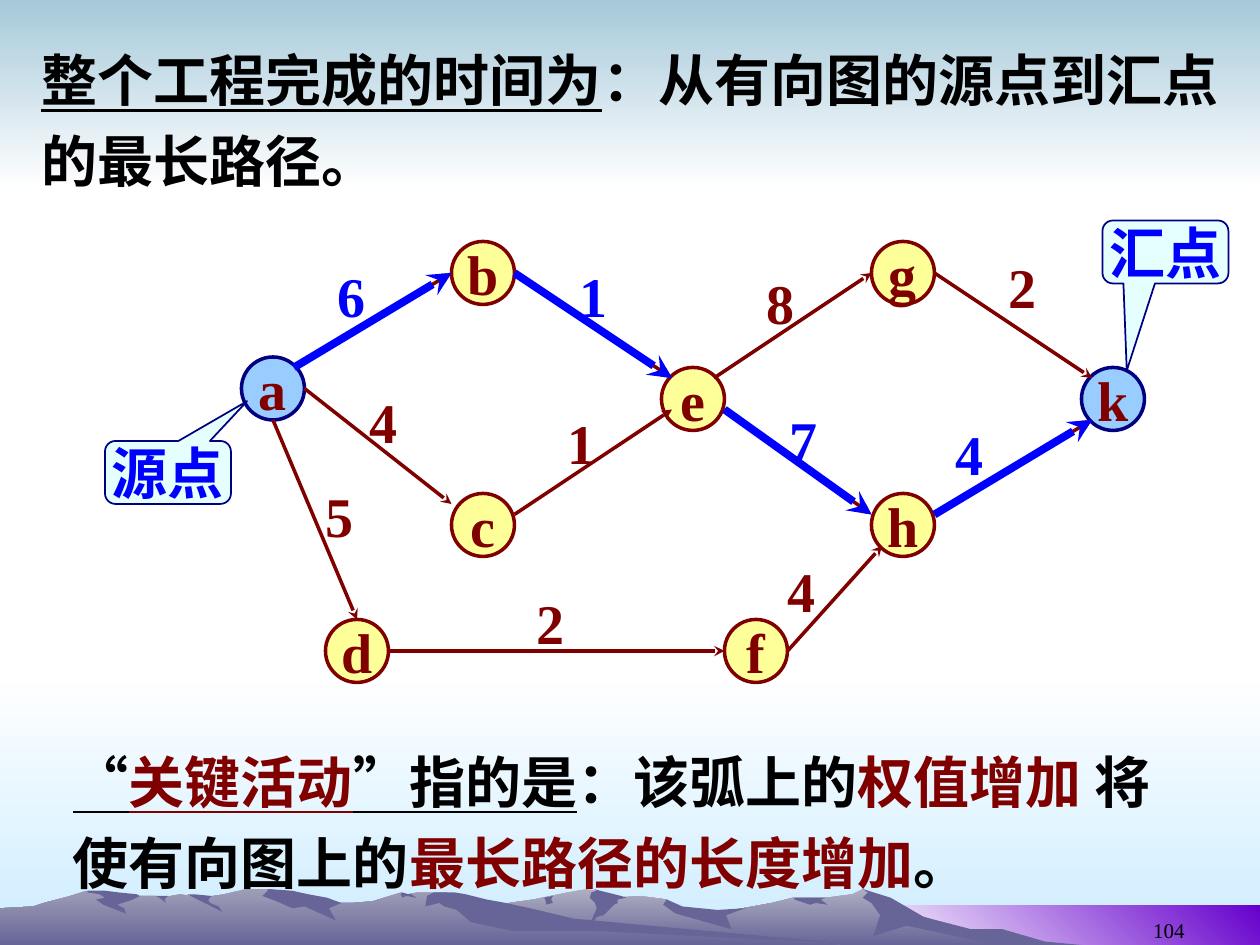
import lxml.etree
import pptx
import pptx.dml.color
import pptx.enum.lang
import pptx.enum.shapes
import pptx.enum.text
import pptx.oxml.ns
import pptx.util

Pt = pptx.util.Pt
RGBColor = pptx.dml.color.RGBColor
SHAPE = pptx.enum.shapes.MSO_SHAPE
ALIGN = pptx.enum.text.PP_ALIGN
ANCHOR = pptx.enum.text.MSO_ANCHOR
qn = pptx.oxml.ns.qn

FONT = "Times New Roman"
WHITE = RGBColor(0xFF, 0xFF, 0xFF)
BLACK = RGBColor(0, 0, 0)
MAROON = RGBColor(0x80, 0, 0)
BLUE = RGBColor(0, 0, 0xFF)
NAVY = RGBColor(0, 0, 0x80)
YELLOW = RGBColor(0xFF, 0xFF, 0x99)
SKY = RGBColor(0x99, 0xCC, 0xFF)
PALE_CYAN = RGBColor(0xCC, 0xFF, 0xFF)
PALE_BLUE = RGBColor(0xCC, 0xEC, 0xFF)
STEEL = RGBColor(0xA6, 0xC9, 0xDA)
PURPLE = RGBColor(0x66, 0, 0xCC)
FAR_TOP = RGBColor(0xAE, 0xAE, 0xC2)
NEAR_TOP = RGBColor(0x9F, 0x9E, 0xB8)
SLATE = RGBColor(0x67, 0x65, 0x97)

FAR_RANGE = [(577, 29), (560, 25), (550, 23), (521, 14), (505, 5), (493, 0), (487, 3), (472, 5),
             (453, 5), (441, 8), (408, 14), (386, 11), (381, 6), (366, 4), (350, 5), (341, 1),
             (335, 0), (324, 2), (305, 6), (284, 9), (256, 14), (235, 18), (199, 28), (186, 32),
             (591, 32)]
FAR_SHADES = [
    [(573, 23), (555, 23), (528, 16), (509, 5), (493, 0), (496, 2), (493, 5), (498, 8), (503, 15),
     (499, 27), (518, 21), (570, 32), (618, 32), (597, 30)],
    [(339, 0), (341, 1), (338, 2), (337, 5), (340, 8), (341, 11), (335, 25), (341, 16), (345, 15),
     (351, 9), (353, 8), (353, 6), (358, 5), (355, 4)],
    [(381, 6), (379, 9), (386, 14), (418, 23), (415, 15), (426, 11), (410, 12), (390, 10)],
    [(468, 5), (454, 5), (454, 6), (463, 9), (466, 8), (473, 9), (469, 6), (472, 5)],
    [(312, 7), (311, 5), (316, 4), (315, 6), (316, 8), (312, 9)],
]
NEAR_RANGE = [(497, 32), (480, 32), (311, 19), (255, 2), (238, 2), (233, 3), (229, 2), (213, 7),
              (201, 8), (195, 8), (187, 7), (170, 8), (161, 2), (155, 0), (140, 0), (128, 3),
              (115, 5), (103, 3), (92, 5), (89, 4), (80, 4), (68, 5), (49, 1), (40, 4), (25, 8),
              (19, 10), (0, 11), (0, 32)]
NEAR_SHADES = [
    [(153, 1), (150, 4), (158, 7), (167, 11), (174, 10), (192, 18), (188, 11), (195, 8), (187, 5),
     (176, 3), (167, 1), (153, 0)],
    [(266, 3), (260, 2), (255, 2), (248, 2), (244, 4), (243, 10), (251, 8), (254, 10), (261, 12),
     (269, 19), (293, 24), (340, 24), (497, 32), (492, 32), (328, 17), (307, 12), (289, 8),
     (278, 6)],
    [(229, 3), (230, 2), (233, 3), (235, 3), (238, 5), (232, 4), (230, 5)],
    [(111, 3), (121, 4), (119, 6), (120, 8), (125, 10), (127, 13), (119, 9), (107, 3)],
    [(96, 4), (94, 6), (95, 8), (91, 5), (89, 4)],
    [(78, 3), (80, 4), (76, 6), (67, 9), (71, 11), (72, 14), (59, 9), (55, 6), (60, 5), (57, 3),
     (50, 2), (50, 1), (60, 1), (68, 2)],
]

NODES = {"a": (78, 78), "b": (198, 12), "c": (198, 156), "d": (126, 228), "e": (318, 84),
         "f": (354, 228), "g": (438, 12), "h": (438, 156), "k": (558, 84)}
TERMINALS = "ak"
EDGES = [
    ("6", (108, 84), (198, 30), (126, 20), True),
    ("4", (114, 96), (198, 162), (144, 92), False),
    ("1", (234, 168), (324, 108), (257, 104), False),
    ("1", (234, 30), (324, 90), (264, 20), True),
    ("8", (348, 90), (438, 30), (371, 24), False),
    ("2", (474, 30), (564, 90), (509.5, 14.5), False),
    ("4", (474, 168), (564, 114), (479, 110), True),
    ("7", (354, 108), (438, 168), (384, 102), True),
    ("5", (96, 114), (144, 228), (119, 145.5), False),
    ("2", (162, 246), (354, 246), (239.5, 206.5), False),
    ("4", (390, 246), (444, 186), (383, 188.5), False),
]
CALLOUTS = [("源点", (0, 126), (0.628, -1.132, 0.167)),
            ("汇点", (570, 0), (-0.307, 1.885, 0.167))]


def paint(shape, colors, angle=270):
    shape.shadow.inherit = False
    shape.line.fill.background()
    if len(colors) == 1:
        shape.fill.solid()
        shape.fill.fore_color.rgb = colors[0]
        return
    shape.fill.gradient()
    shape.fill.gradient_angle = angle
    for stop, color in zip(shape.fill.gradient_stops, colors):
        stop.color.rgb = color


def add_band(page, left, top, width, height, colors, angle=270):
    band = page.shapes.add_shape(SHAPE.RECTANGLE, Pt(left), Pt(top), Pt(width), Pt(height))
    paint(band, colors, angle)


def add_ridge(page, left, top, points, colors):
    builder = page.shapes.build_freeform(*points[0], scale=Pt(1))
    builder.add_line_segments(points[1:], close=True)
    paint(builder.convert_to_shape(Pt(left), Pt(top)), colors)


def add_landscape(page, left, top):
    add_ridge(page, left, top, FAR_RANGE, [FAR_TOP, SLATE])
    for shade in FAR_SHADES:
        add_ridge(page, left, top, shade, [SLATE])
    add_ridge(page, left, top, NEAR_RANGE, [NEAR_TOP, SLATE])
    for shade in NEAR_SHADES:
        add_ridge(page, left, top, shade, [SLATE])


def write(box, runs, size=32, bold=True, align=ALIGN.LEFT, anchor=ANCHOR.TOP, wrap=False,
          spacing=None):
    frame = box.text_frame
    frame.word_wrap = wrap
    frame.auto_size = pptx.enum.text.MSO_AUTO_SIZE.NONE
    frame.vertical_anchor = anchor
    frame.margin_left = frame.margin_right = Pt(7.2)
    frame.margin_top = frame.margin_bottom = Pt(3.6)
    para = frame.paragraphs[0]
    para.alignment = align
    para.line_spacing = spacing
    for words, color, underline in runs:
        span = para.add_run()
        span.text = words
        span.font.name = FONT
        span.font.size = Pt(size)
        span.font.bold = bold
        span.font.underline = underline
        span.font.color.rgb = color
        span.font.language_id = pptx.enum.lang.MSO_LANGUAGE_ID.SIMPLIFIED_CHINESE


def add_text(page, left, top, width, height, runs, **style):
    box = page.shapes.add_textbox(Pt(left), Pt(top), Pt(width), Pt(height))
    write(box, runs, **style)


def place_title(page, left, top, width, height, runs):
    title = page.shapes.title
    title.left, title.top, title.width, title.height = map(Pt, (left, top, width, height))
    write(title, runs, wrap=True, spacing=1.2)
    title._element.getparent().append(title._element)


def add_labelled(page, kind, left, top, width, height, words, color, fill, line, weight):
    shape = page.shapes.add_shape(kind, Pt(left), Pt(top), Pt(width), Pt(height))
    paint(shape, [fill])
    shape.line.color.rgb = line
    shape.line.width = Pt(weight)
    write(shape, [(words, color, False)], align=ALIGN.CENTER, anchor=ANCHOR.MIDDLE)
    return shape


def add_arrow(page, left, top, start, end, color, weight):
    arrow = page.shapes.add_connector(
        pptx.enum.shapes.MSO_CONNECTOR.STRAIGHT,
        Pt(left + start[0]), Pt(top + start[1]), Pt(left + end[0]), Pt(top + end[1]))
    arrow.line.color.rgb = color
    arrow.line.width = Pt(weight)
    properties = arrow._element.spPr
    lxml.etree.SubElement(properties.find(qn("a:ln")), qn("a:tailEnd"), type="stealth")
    lxml.etree.SubElement(properties, qn("a:effectLst"))


def add_network(page, left, top):
    for name, (x, y) in NODES.items():
        fill, line = (SKY, NAVY) if name in TERMINALS else (YELLOW, MAROON)
        add_labelled(page, SHAPE.OVAL, left + x, top + y, 36, 36, name, MAROON, fill, line, 2)
    for _, start, end, _, _ in EDGES:
        add_arrow(page, left, top, start, end, MAROON, 2)
    for weight, start, end, (x, y), critical in EDGES:
        color = BLUE if critical else MAROON
        add_text(page, left + x, top + y, 30, 45, [(weight, color, False)])
        if critical:
            add_arrow(page, left, top, start, end, BLUE, 4.5)
    for words, (x, y), adjustments in CALLOUTS:
        callout = add_labelled(page, SHAPE.ROUNDED_RECTANGULAR_CALLOUT, left + x, top + y, 72, 36,
                               words, BLUE, PALE_CYAN, NAVY, 1)
        for index, value in enumerate(adjustments):
            callout.adjustments[index] = value
        tint = callout._element.spPr.find(qn("a:solidFill")).find(qn("a:srgbClr"))
        lxml.etree.SubElement(tint, qn("a:alpha"), val="50000")


def main():
    deck = pptx.Presentation()
    deck.slide_width, deck.slide_height = Pt(720), Pt(540)
    page = deck.slides.add_slide(deck.slide_layouts.get_by_name("Title Only"))
    add_band(page, 0, 384, 720, 156, [WHITE, PALE_BLUE])
    add_band(page, 0, 0, 720, 108, [STEEL, WHITE])
    add_band(page, 492, 517.5, 228, 22.5, [WHITE, PURPLE], 45)
    add_landscape(page, 0, 508)
    add_text(page, 516, 506, 168, 36, [("104", BLACK, False)], size=12, bold=False,
             align=ALIGN.RIGHT, anchor=ANCHOR.BOTTOM)
    add_network(page, 60, 126)
    add_text(page, 34.5, 416, 661, 99.5, [
        ("“", BLACK, True), ("关键活动", MAROON, True), ("”指的是", BLACK, True),
        ("：该弧上的", BLACK, False), ("权值增加", MAROON, False),
        (" 将使有向图上的", BLACK, False), ("最长路径的长度增加", MAROON, False),
        ("。", BLACK, False)], wrap=True, spacing=1.2)
    place_title(page, 16.5, 15, 691, 99.5, [
        ("整个工程完成的时间为", BLACK, True),
        ("：从有向图的源点到汇点的最长路径。", BLACK, False)])
    deck.save("out.pptx")


if __name__ == "__main__":
    main()
